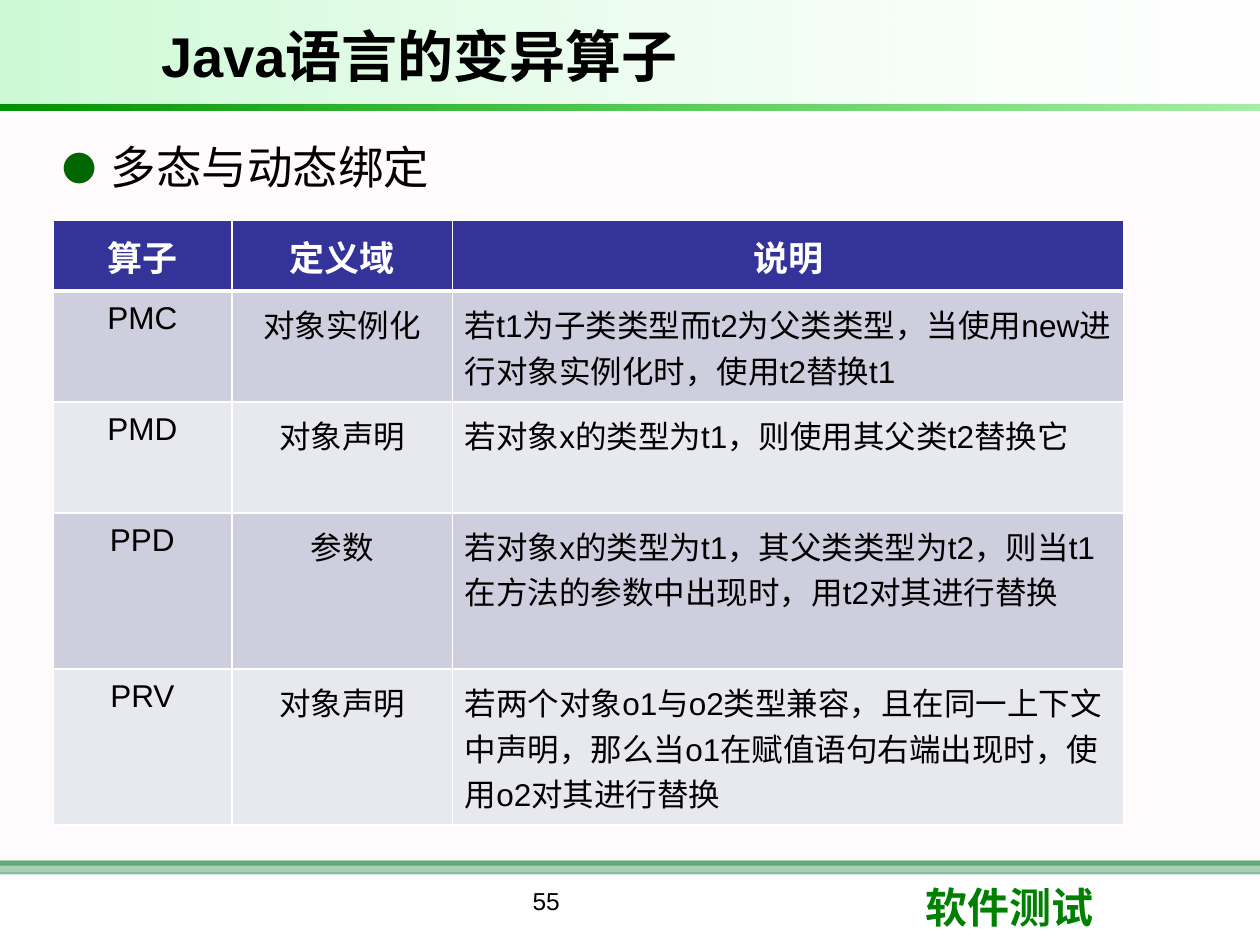
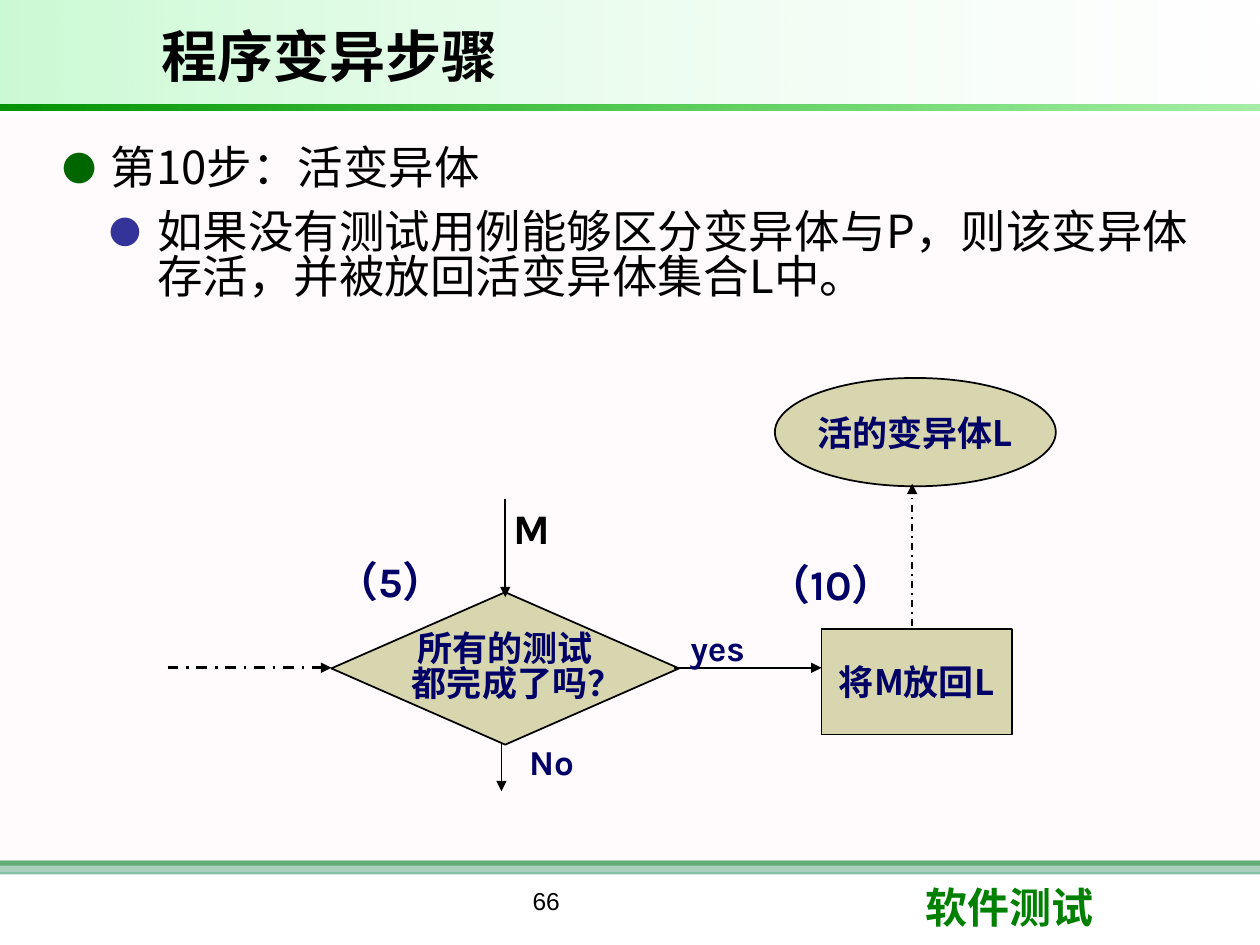
from dataclasses import dataclass

from lxml import etree
from pptx import Presentation
from pptx.dml.color import RGBColor
from pptx.enum.dml import MSO_LINE
from pptx.enum.shapes import MSO_CONNECTOR, MSO_SHAPE
from pptx.enum.text import MSO_ANCHOR, PP_ALIGN
from pptx.oxml.ns import qn
from pptx.util import Inches, Pt

LEFT, CENTER = PP_ALIGN.LEFT, PP_ALIGN.CENTER
TOP, MIDDLE = MSO_ANCHOR.TOP, MSO_ANCHOR.MIDDLE
RECT, OVAL = MSO_SHAPE.RECTANGLE, MSO_SHAPE.OVAL
DECISION, PROCESS = MSO_SHAPE.FLOWCHART_DECISION, MSO_SHAPE.FLOWCHART_PROCESS
DASH_DOT = MSO_LINE.DASH_DOT
STRAIGHT = MSO_CONNECTOR.STRAIGHT


@dataclass(frozen=True)
class Theme:
    black: str = "000000"
    white: str = "FFFFFF"
    green: str = "008000"
    sea_green: str = "339966"
    blush: str = "FFF0F5"
    bullet_green: str = "006600"
    indigo: str = "333399"
    row_dark: str = "CECEDE"
    row_light: str = "E8E8EF"
    khaki: str = "D7D6AE"
    navy: str = "000066"
    sans: str = "Arial"
    cjk: str = "Noto Sans CJK SC"
    node_font: str = "Noto Sans CJK JP"
    label_font: str = "Karla"
    footer_font: str = "Calibri"
    title_size: float = 32
    body_size: float = 26
    large_size: float = 24
    medium_size: float = 20
    cell_size: float = 18
    page_size: float = 14
    tight: float = 0.83


THEME = Theme()


@dataclass(frozen=True)
class Band:
    """Full-width bar; each stop is a colour with its opacity in percent."""
    top: float
    height: float
    stops: tuple[tuple[str, int], ...]


@dataclass(frozen=True)
class Bullet:
    text: str
    indent: float
    color: str
    scale: int
    before: float = 0
    after: float = 0


@dataclass(frozen=True)
class Node:
    kind: int
    box: tuple[float, float, float, float]
    lines: tuple[str, ...]
    last_indent: float = 0


@dataclass(frozen=True)
class Arrow:
    start: tuple[float, float]
    end: tuple[float, float]
    width: float = 1
    dash: int | None = None


@dataclass(frozen=True)
class Label:
    text: str
    box: tuple[float, float, float, float]
    size: float = THEME.large_size
    color: str = THEME.navy


BANDS = (
    Band(6.83, 0.04, ((THEME.green, 100),)),
    Band(6.83, 0.11, ((THEME.sea_green, 60),)),
    Band(0.92, 6, ((THEME.blush, 30),)),
    Band(0, 0.83, (("09E733", 21), (THEME.white, 10))),
    Band(0.83, 0.05, (("009200", 100), ("00CC00", 35))),
)

COLUMNS = (1.42, 1.75, 5.33)
ROW_HEIGHTS = (0.56, 0.88, 0.88, 1.24, 1.24)
OPERATORS = (
    ("算子", "定义域", "说明"),
    ("PMC", "对象实例化", "若t1为子类类型而t2为父类类型，当使用new进行对象实例化时，使用t2替换t1"),
    ("PMD", "对象声明", "若对象x的类型为t1，则使用其父类t2替换它"),
    ("PPD", "参数", "若对象x的类型为t1，其父类类型为t2，则当t1在方法的参数中出现时，用t2对其进行替换"),
    ("PRV", "对象声明", "若两个对象o1与o2类型兼容，且在同一上下文中声明，那么当o1在赋值语句右端出现时，使用o2对其进行替换"),
)

NODES = (
    Node(OVAL, (6.15, 3, 2.23, 0.86), ("活的变异体L",)),
    Node(DECISION, (2.63, 4.7, 2.76, 1.21), ("所有的测试", "都完成了吗？"), 0.19),
    Node(PROCESS, (6.52, 4.99, 1.51, 0.84), ("将M放回L",)),
)
ARROWS = (
    Arrow((1.33, 5.3), (2.63, 5.3), 1.5, DASH_DOT),
    Arrow((5.35, 5.3), (6.52, 5.3)),
    Arrow((3.98, 5.89), (3.98, 6.28)),
    Arrow((7.24, 4.97), (7.24, 3.84), 1, DASH_DOT),
    Arrow((4.01, 3.96), (4.01, 4.74)),
)
LABELS = (
    Label("（5）", (2.57, 4.36, 1.42, 0.58)),
    Label("（10）", (6, 4.38, 1.51, 0.58)),
    Label("No", (4.1, 5.83, 0.98, 0.44), THEME.medium_size),
    Label("yes", (5.38, 4.92, 0.98, 0.44), THEME.medium_size),
    Label("M", (3.98, 3.94, 1.18, 0.5), color=THEME.black),
)


def rgb(color: str) -> RGBColor:
    return RGBColor.from_string(color)


def inches(values) -> list:
    return [Inches(v) for v in values]


def write(p, text: str, *, size: float, color: str = THEME.black, font: str = THEME.sans,
          asian: str = THEME.cjk, bold: bool = False, align=LEFT) -> None:
    p.alignment = align
    r = p.add_run()
    r.text = text
    r.font.size, r.font.bold, r.font.name = Pt(size), bold, font
    r.font.color.rgb = rgb(color)
    ea = etree.Element(qn("a:ea"), typeface=asian)
    r.font._element.find(qn("a:latin")).addnext(ea)


def add_text(slide, box, text: str, anchor=TOP, **fmt) -> None:
    tf = slide.shapes.add_textbox(*inches(box)).text_frame
    tf.word_wrap, tf.vertical_anchor = True, anchor
    write(tf.paragraphs[0], text, **fmt)


def add_band(slide, band: Band) -> None:
    sp = slide.shapes.add_shape(RECT, *inches((0, band.top, 10, band.height)))
    sp.shadow.inherit = False
    sp.line.fill.background()
    if len(band.stops) == 1:
        sp.fill.solid()
        sp.fill.fore_color.rgb = rgb(band.stops[0][0])
    else:
        sp.fill.gradient()
        sp.fill.gradient_angle = 0
        for stop, (color, _) in zip(sp.fill.gradient_stops, band.stops):
            stop.color.rgb = rgb(color)
    for clr, (_, opacity) in zip(sp._element.spPr.iter(qn("a:srgbClr")), band.stops):
        etree.SubElement(clr, qn("a:alpha"), val=str(opacity * 1000))


def add_base(prs, title: str, page: str):
    """Add a slide with the shared bands, title and footer."""
    slide = prs.slides.add_slide(prs.slide_layouts[6])
    for band in BANDS:
        add_band(slide, band)
    add_text(slide, (7.25, 6.95, 2.37, 0.58 - 0.03), "软件测试", size=THEME.large_size,
             color=THEME.green, font=THEME.footer_font, bold=True)
    add_text(slide, (1.18, 0.08, 6.97, 0.71), title, MIDDLE, size=THEME.title_size, bold=True)
    add_text(slide, (2.75, 6.98, 3.17, 0.52), page, size=THEME.page_size, align=CENTER)
    return slide


def add_bullets(slide, bullets: tuple[Bullet, ...]) -> None:
    tf = slide.shapes.add_textbox(*inches((0.39, 1.08, 9.36, 5.58))).text_frame
    tf.word_wrap, tf.margin_top = True, Inches(0.1)
    for i, b in enumerate(bullets):
        p = tf.add_paragraph() if i else tf.paragraphs[0]
        pPr = p._p.get_or_add_pPr()
        pPr.set("marL", str(Inches(b.indent)))
        pPr.set("indent", str(Inches(-0.38)))
        clr = etree.SubElement(pPr, qn("a:buClr"))
        etree.SubElement(clr, qn("a:srgbClr"), val=b.color)
        etree.SubElement(pPr, qn("a:buSzPct"), val=str(b.scale * 1000))
        etree.SubElement(pPr, qn("a:buFont"), typeface=THEME.cjk)
        etree.SubElement(pPr, qn("a:buChar"), char="●")
        p.line_spacing = THEME.tight
        p.space_before, p.space_after = Pt(b.before), Pt(b.after)
        write(p, b.text, size=THEME.body_size, font=THEME.cjk)


def set_borders(cell, bottom: float) -> None:
    tcPr = cell._tc.get_or_add_tcPr()
    for i, (side, width) in enumerate((("L", 1), ("R", 1), ("T", 1), ("B", bottom))):
        ln = etree.Element(qn(f"a:ln{side}"), w=str(Pt(width)))
        fill = etree.SubElement(ln, qn("a:solidFill"))
        etree.SubElement(fill, qn("a:srgbClr"), val=THEME.white)
        tcPr.insert(i, ln)


def add_operator_table(slide) -> None:
    box = inches((0.42, 1.75, sum(COLUMNS), sum(ROW_HEIGHTS)))
    table = slide.shapes.add_table(len(OPERATORS), len(COLUMNS), *box).table
    for col, width in zip(table.columns, COLUMNS):
        col.width = Inches(width)
    for i, (row, height) in enumerate(zip(OPERATORS, ROW_HEIGHTS)):
        table.rows[i].height = Inches(height)
        header = i == 0
        fill = THEME.indigo if header else (THEME.row_light, THEME.row_dark)[i % 2]
        for j, text in enumerate(row):
            cell = table.cell(i, j)
            cell.margin_left = cell.margin_right = Inches(0.1)
            cell.margin_top = cell.margin_bottom = Inches(0.08)
            cell.fill.solid()
            cell.fill.fore_color.rgb = rgb(fill)
            set_borders(cell, 3 if header else 1)
            write(cell.text_frame.paragraphs[0], text, bold=header,
                  size=THEME.medium_size if header else THEME.cell_size,
                  color=THEME.white if header else THEME.black,
                  align=CENTER if header or j < 2 else LEFT)


def add_node(slide, node: Node) -> None:
    sp = slide.shapes.add_shape(node.kind, *inches(node.box))
    sp.shadow.inherit = False
    sp.fill.solid()
    sp.fill.fore_color.rgb = rgb(THEME.khaki)
    sp.line.color.rgb, sp.line.width = rgb(THEME.black), Pt(1)
    tf = sp.text_frame
    tf.word_wrap, tf.vertical_anchor = False, MIDDLE
    for i, line in enumerate(node.lines):
        p = tf.add_paragraph() if i else tf.paragraphs[0]
        if len(node.lines) > 1:
            p.line_spacing = THEME.tight
        write(p, line, size=THEME.medium_size, color=THEME.navy, font=THEME.node_font,
              asian=THEME.node_font, bold=True, align=CENTER)
    if node.last_indent:
        p._p.get_or_add_pPr().set("marL", str(Inches(node.last_indent)))


def add_arrow(slide, arrow: Arrow) -> None:
    cxn = slide.shapes.add_connector(STRAIGHT, *inches(arrow.start + arrow.end))
    cxn.line.color.rgb, cxn.line.width = rgb(THEME.black), Pt(arrow.width)
    if arrow.dash is not None:
        cxn.line.dash_style = arrow.dash
    etree.SubElement(cxn.line._get_or_add_ln(), qn("a:tailEnd"), type="triangle")
    etree.SubElement(cxn._element.spPr, qn("a:effectLst"))


def build_operators(prs) -> None:
    slide = add_base(prs, "Java语言的变异算子", "55")
    add_bullets(slide, (Bullet("多态与动态绑定", 0.39, THEME.bullet_green, 75),))
    add_operator_table(slide)


def build_steps(prs) -> None:
    slide = add_base(prs, "程序变异步骤", "66")
    add_bullets(slide, (
        Bullet("第10步：活变异体", 0.39, THEME.bullet_green, 75, after=6),
        Bullet("如果没有测试用例能够区分变异体与P，则该变异体存活，并被放回活变异体集合L中。",
               0.76, THEME.indigo, 70, before=4.5),
    ))
    for node in NODES:
        add_node(slide, node)
    for arrow in ARROWS:
        add_arrow(slide, arrow)
    for label in LABELS:
        add_text(slide, label.box, label.text, size=label.size, color=label.color,
                 font=THEME.label_font, bold=True)


def main() -> None:
    prs = Presentation()
    prs.slide_width, prs.slide_height = Inches(10), Inches(7.5)
    build_operators(prs)
    build_steps(prs)
    prs.save("out.pptx")


if __name__ == "__main__":
    main()
